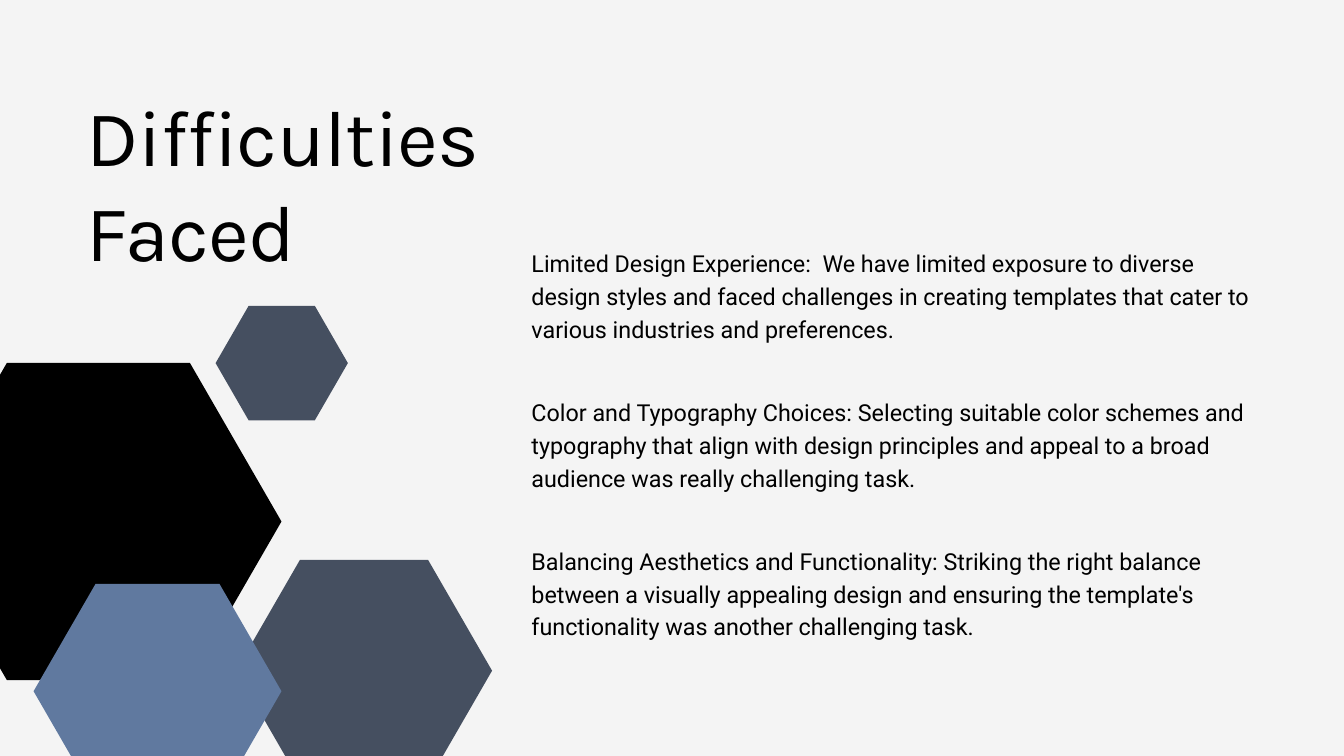
from math import sqrt

from pptx import Presentation
from pptx.dml.color import RGBColor
from pptx.enum.shapes import MSO_SHAPE as SHAPE
from pptx.enum.text import MSO_ANCHOR as ANCHOR, MSO_AUTO_SIZE as AUTO_SIZE, PP_ALIGN as ALIGN
from pptx.util import Cm, Pt

COLORS = {
    "background": "F4F4F4",
    "black": "000000",
    "slate": "454F60",
    "blue": "60799F",
}

# left, top, width in cm, colour; from back to front
HEXAGONS = [
    (-3.2, 13.72, 13.84, "black"),
    (8.92, 21.16, 9.68, "slate"),
    (8.15, 11.56, 5, "slate"),
    (1.27, 22.07, 9.37, "blue"),
]

DIFFICULTIES = [
    "Limited Design Experience:  We have limited exposure to diverse design styles "
    "and faced challenges in creating templates that cater to various industries "
    "and preferences.",
    "Color and Typography Choices: Selecting suitable color schemes and typography "
    "that align with design principles and appeal to a broad audience was really "
    "challenging task.",
    "Balancing Aesthetics and Functionality: Striking the right balance between a "
    "visually appealing design and ensuring the template's functionality was "
    "another challenging task.",
]
FIRST_TOP, TOP_STEP = 9.25, 5.63


def rgb(name):
    return RGBColor.from_string(COLORS[name])


def add_hexagon(slide, left, top, width, color):
    """Add a regular hexagon with its points at left and right."""
    height = width * sqrt(3) / 2
    sp = slide.shapes.add_shape(SHAPE.HEXAGON, Cm(left), Cm(top), Cm(width), Cm(height))
    sp.adjustments[0] = 0.25 * width / height
    sp.shadow.inherit = False
    sp.fill.solid()
    sp.fill.fore_color.rgb = rgb(color)
    sp.line.fill.background()


def write_text(sp, text, font, size, line_spacing):
    """Fill a shape with one left-aligned paragraph without insets."""
    tf = sp.text_frame
    tf.text = text
    tf.word_wrap = True
    tf.auto_size = AUTO_SIZE.NONE
    tf.vertical_anchor = ANCHOR.TOP
    tf.margin_left = tf.margin_right = tf.margin_top = tf.margin_bottom = 0
    p = tf.paragraphs[0]
    p.alignment = ALIGN.LEFT
    p.line_spacing = Pt(line_spacing)
    p.space_before = Pt(0)
    r = p.runs[0]
    r.font.name = font
    r.font.size = Pt(size)
    r.font.color.rgb = rgb("black")
    return r


def set_title(slide, text):
    title = slide.shapes.title
    title.left, title.top = Cm(3.28), Cm(3.28)
    title.width, title.height = Cm(15.32), Cm(7.14)
    r = write_text(title, text, "Karla", 85, 102)
    r.font._element.set("spc", "-80")


def add_body(slide, text, top):
    box = slide.shapes.add_textbox(Cm(20.09), Cm(top), Cm(27.84), Cm(3.63))
    write_text(box, text, "Roboto", 25, 35)


def main():
    prs = Presentation()
    prs.slide_width, prs.slide_height = Cm(50.8), Cm(28.575)
    slide = prs.slides.add_slide(prs.slide_layouts[5])
    slide.background.fill.solid()
    slide.background.fill.fore_color.rgb = rgb("background")

    for hexagon in HEXAGONS:
        add_hexagon(slide, *hexagon)
    set_title(slide, "Difficulties Faced")
    for i, text in enumerate(DIFFICULTIES):
        add_body(slide, text, FIRST_TOP + i * TOP_STEP)

    prs.save("out.pptx")


if __name__ == "__main__":
    main()
